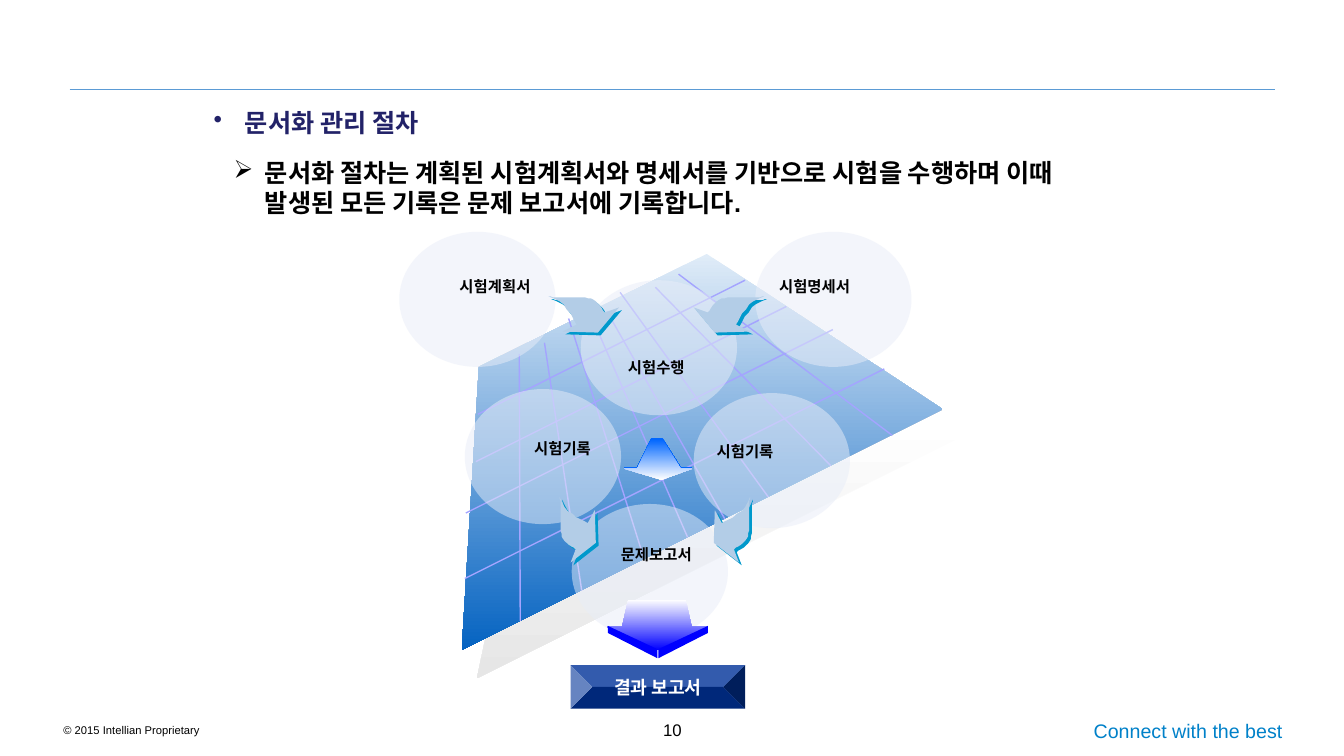
import pptx
import pptx.dml.color
import pptx.enum.shapes
import pptx.enum.text
import pptx.oxml
import pptx.oxml.ns
import pptx.util
from lxml import etree

Inches = pptx.util.Inches
Pt = pptx.util.Pt
RGBColor = pptx.dml.color.RGBColor
Align = pptx.enum.text.PP_ALIGN
Anchor = pptx.enum.text.MSO_ANCHOR
Shape = pptx.enum.shapes.MSO_SHAPE
qn = pptx.oxml.ns.qn

BLACK = RGBColor(0x00, 0x00, 0x00)
WHITE = RGBColor(0xFF, 0xFF, 0xFF)
NAVY = RGBColor(0x22, 0x22, 0x68)
SLOGAN_BLUE = RGBColor(0x00, 0x81, 0xC9)
RULE_BLUE = RGBColor(0x5B, 0x9B, 0xD5)
GRID_VIOLET = RGBColor(0xA4, 0xA4, 0xFF)
PALE_PLANE = RGBColor(0xE0, 0xEC, 0xF8)
DEEP_PLANE = RGBColor(0x05, 0x63, 0xC1)
PALE_GREY = RGBColor(0xE6, 0xE6, 0xE6)
BUBBLE = RGBColor(0xE8, 0xED, 0xF8)
CURL = RGBColor(0xB3, 0xCD, 0xE7)
CURL_SHADE = RGBColor(0x00, 0x99, 0xCC)
RISE_BLUE = RGBColor(0x00, 0x66, 0xFF)
PURE_BLUE = RGBColor(0x00, 0x00, 0xFF)
REPORT_BLUE = RGBColor(0x00, 0x33, 0x99)


class DiagramSlide:
    font = "Arial"

    def __init__(self, slide):
        self.shapes = slide.shapes

    def line(self, start, end, color, width):
        connector = self.shapes.add_connector(
            pptx.enum.shapes.MSO_CONNECTOR.STRAIGHT, *map(Inches, start + end))
        connector.line.color.rgb = color
        connector.line.width = Pt(width)
        etree.SubElement(connector._element.spPr, qn("a:effectLst"))

    def fill_text(self, frame, text, size, color, bold=False, align=Align.LEFT,
                  anchor=Anchor.TOP, spacing=None, bullet=None):
        frame.vertical_anchor = anchor
        paragraph = frame.paragraphs[0]
        paragraph.alignment = align
        if spacing:
            paragraph.line_spacing = spacing
        if bullet:
            properties = paragraph._p.get_or_add_pPr()
            properties.set("marL", str(Inches(0.31)))
            properties.set("indent", str(-Inches(0.31)))
            etree.SubElement(properties, qn("a:buChar")).set("char", bullet)
        run = paragraph.add_run()
        run.text = text
        run.font.name = self.font
        run.font.size = Pt(size)
        run.font.bold = bold
        run.font.color.rgb = color

    def text(self, box, text, size, color, **style):
        frame = self.shapes.add_textbox(*map(Inches, box)).text_frame
        frame.word_wrap = True
        self.fill_text(frame, text, size, color, **style)

    def paint(self, shape, top, bottom=None, alpha=None, shade=None):
        shape.shadow.inherit = False
        shape.line.fill.background()
        if bottom is None:
            shape.fill.solid()
            shape.fill.fore_color.rgb = top
        else:
            shape.fill.gradient()
            shape.fill.gradient_angle = 270
            for stop, color, position in zip(shape.fill.gradient_stops, (top, bottom), (0, 1)):
                stop.color.rgb = color
                stop.position = position
        if alpha:
            fill_color = shape._element.spPr.find(".//" + qn("a:srgbClr"))
            etree.SubElement(fill_color, qn("a:alpha")).set("val", str(alpha * 1000))
        if shade:
            color, distance, angle = shade
            effects = shape._element.spPr.find(qn("a:effectLst"))
            shadow = etree.SubElement(effects, qn("a:outerShdw"))
            shadow.set("dist", str(Pt(distance)))
            shadow.set("dir", str(angle * 60000))
            shadow.set("algn", "ctr")
            shadow.set("rotWithShape", "0")
            etree.SubElement(shadow, qn("a:srgbClr")).set("val", str(color))

    def outline(self, points, *colors, **style):
        corners = [(Inches(x), Inches(y)) for x, y in points]
        builder = self.shapes.build_freeform(*corners[0])
        builder.add_line_segments(corners[1:], close=True)
        self.paint(builder.convert_to_shape(), *colors, **style)

    def preset(self, kind, box, color, alpha=None):
        shape = self.shapes.add_shape(kind, *map(Inches, box))
        self.paint(shape, color, alpha=alpha)
        return shape


def main():
    deck = pptx.Presentation()
    deck.slide_width = Inches(13.33)
    deck.slide_height = Inches(7.5)
    page = DiagramSlide(deck.slides.add_slide(deck.slide_layouts[6]))

    page.line((0.69, 0.89), (12.65, 0.89), RULE_BLUE, 0.5)
    page.text((0.53, 7.13, 3.75, 0.24), "© 2015 Intellian Proprietary", 8, BLACK)
    page.text((9.71, 7.08, 3.11, 0.34), "Connect with the best", 14, SLOGAN_BLUE, align=Align.RIGHT)
    page.text((6.19, 7.04, 0.96, 0.4), "10", 12, BLACK, align=Align.CENTER, anchor=Anchor.MIDDLE)

    page.outline([(9.5, 4.35), (9.06, 4.15), (4.83, 6.26), (4.73, 6.73)], WHITE, PALE_GREY)
    page.outline([(9.35, 4.06), (7.01, 2.52), (4.75, 3.64), (4.58, 6.45)], PALE_PLANE, DEEP_PLANE)
    grid_lines = [
        ((5.4, 3.4), (5.77, 5.86)), ((5.64, 3.16), (6.39, 5.55)),
        ((5.88, 3.17), (6.82, 5.33)), ((6.5, 2.85), (8.24, 4.62)),
        ((6.15, 2.9), (7.62, 4.93)), ((6.02, 3.09), (7.19, 5.15)),
        ((5.16, 6.16), (5.15, 3.51)), ((8.85, 4.32), (6.73, 2.72)),
        ((4.61, 5.74), (8.77, 3.66)), ((4.62, 5.09), (8.26, 3.27)),
        ((4.72, 4.58), (7.8, 3.04)), ((4.74, 4.11), (7.39, 2.78)),
    ]
    for start, end in grid_lines:
        page.line(start, end, GRID_VIOLET, 1)

    documents = [
        ("시험기록", (4.61, 3.86), (5, 4.27)),
        ("시험계획서", (3.96, 2.3), (4.33, 2.66)),
        ("시험수행", (5.76, 2.78), (5.93, 3.47)),
        ("시험명세서", (7.49, 2.3), (7.5, 2.66)),
        ("시험기록", (6.88, 3.9), (6.81, 4.3)),
        ("문제보고서", (5.67, 5), (5.93, 5.32)),
    ]
    for caption, bubble, label in documents:
        page.preset(Shape.OVAL, bubble + (1.55, 1.34), BUBBLE, alpha=50)
    for caption, bubble, label in documents:
        page.text(label + (1.16, 0.32), caption, 11, BLACK, bold=True,
                  align=Align.CENTER, spacing=1.2)

    page.outline([(6.23, 5.95), (6.8, 5.95), (6.86, 6.22), (7.01, 6.22), (6.51, 6.45),
                  (6.02, 6.22), (6.17, 6.22)], WHITE, PURE_BLUE)
    arrow_edge = [(6.03, 6.21), (6.52, 6.44), (6.52, 6.53), (6.03, 6.28)]
    page.outline(arrow_edge, PURE_BLUE)
    page.outline([(13.05 - x, y) for x, y in arrow_edge], PURE_BLUE)

    report = page.preset(Shape.BEVEL, (5.66, 6.6, 1.73, 0.43), REPORT_BLUE)
    report.adjustments[0] = 0.5
    report.text_frame.word_wrap = False
    page.fill_text(report.text_frame, "결과 보고서", 13, WHITE, bold=True,
                   align=Align.CENTER, anchor=Anchor.MIDDLE)

    curl = [
        (0, 0), (0.05, 0.02), (0.11, 0.05), (0.15, 0.08), (0.18, 0.13), (0.22, 0.17),
        (0.24, 0.21), (0.26, 0.25), (0.28, 0.28), (0.14, 0.35), (0.49, 0.36), (0.7, 0.11),
        (0.56, 0.16), (0.54, 0.14), (0.53, 0.12), (0.51, 0.09), (0.49, 0.07), (0.47, 0.05),
        (0.44, 0.03), (0.42, 0.02), (0.39, 0.02), (0.36, 0.01), (0.04, 0.01), (0.02, 0),
    ]
    curl_shade = (CURL_SHADE, 2.8, 45)
    for upper_x, lower_x, side in ((5.44, 7.44, 1), (7.58, 5.55, -1)):
        page.outline([(upper_x + side * u, 2.94 + v) for u, v in curl], CURL, shade=curl_shade)
        page.outline([(lower_x - side * v, 4.93 + 0.93 * u) for u, v in curl], CURL, shade=curl_shade)

    page.outline([(6.46, 4.36), (6.32, 4.65), (6.19, 4.65), (6.56, 4.76), (6.87, 4.65),
                  (6.75, 4.65), (6.57, 4.36)], RISE_BLUE, WHITE, shade=(RISE_BLUE, 1, 270))

    page.text((2.02, 1.02, 5.35, 0.4), "문서화 관리 절차", 18, NAVY, bold=True, bullet="•")
    page.text((2.22, 1.51, 9.04, 0.71),
              "문서화 절차는 계획된 시험계획서와 명세서를 기반으로 시험을 수행하며 이때 "
              "발생된 모든 기록은 문제 보고서에 기록합니다.", 18, BLACK, bold=True, bullet="➢")

    deck.save("out.pptx")


if __name__ == "__main__":
    main()
